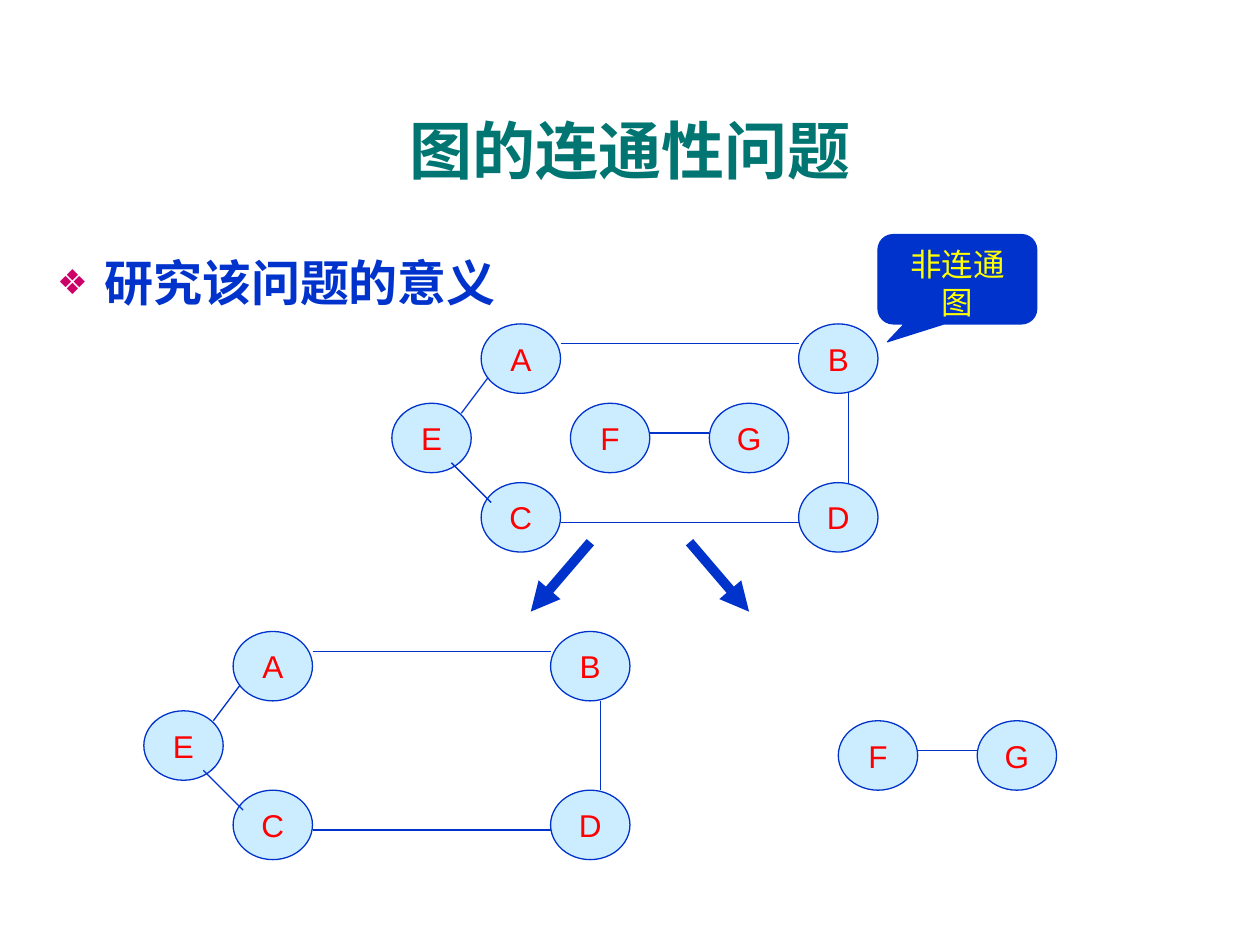
from lxml import etree
from pptx import Presentation
from pptx.dml.color import RGBColor
from pptx.enum.shapes import MSO_CONNECTOR, MSO_SHAPE
from pptx.enum.text import MSO_ANCHOR, MSO_AUTO_SIZE, PP_ALIGN
from pptx.oxml.ns import qn
from pptx.util import Cm, Pt

STRAIGHT = MSO_CONNECTOR.STRAIGHT
ELLIPSE = MSO_SHAPE.OVAL
CALLOUT = MSO_SHAPE.ROUNDED_RECTANGULAR_CALLOUT
TOP, MIDDLE = MSO_ANCHOR.TOP, MSO_ANCHOR.MIDDLE
LEFT, CENTER = PP_ALIGN.LEFT, PP_ALIGN.CENTER
NO_FIT = MSO_AUTO_SIZE.NONE

COLORS = {
    "title": "007572",
    "blue": "0033CC",
    "bullet": "CC0066",
    "node": "CCECFF",
    "letter": "FF0000",
    "callout": "FFFF00",
}
NODE_WIDTH, NODE_HEIGHT = 1.6, 1.4

# Offsets in cm from the left and top of each component.
RING = {
    "nodes": {"A": (1.8, 0), "B": (8.2, 0), "C": (1.8, 3.2),
              "D": (8.2, 3.2), "E": (0, 1.6)},
    "edges_below": [(2, 1, 1.4, 1.8)],
    "edges_above": [(3.4, 0.4, 8.2, 0.4), (3.4, 4, 8.2, 4),
                    (1.2, 2.8, 2, 3.6), (9.2, 1.4, 9.2, 3.2)],
}
PAIR = {
    "nodes": {"G": (2.8, 0), "F": (0, 0)},
    "edges_below": [],
    "edges_above": [(1.6, 0.6, 2.8, 0.6)],
}


def color(name):
    return RGBColor.from_string(COLORS[name])


def write_text(shape, text, size, color_name, align=CENTER, anchor=MIDDLE,
               wrap=True, bold=False):
    frame = shape.text_frame
    frame_format = {"word_wrap": wrap, "auto_size": NO_FIT,
                    "vertical_anchor": anchor}
    for name, value in frame_format.items():
        setattr(frame, name, value)
    para = frame.paragraphs[0]
    para.alignment = align
    span = para.add_run()
    span.text = text
    font_format = {"name": "Arial", "size": Pt(size), "bold": bold}
    for name, value in font_format.items():
        setattr(span.font, name, value)
    span.font.color.rgb = color(color_name)
    return para


def place(shape, left, top, width, height):
    position = {"left": left, "top": top, "width": width, "height": height}
    for name, value in position.items():
        setattr(shape, name, Cm(value))


def add_bullet(para):
    para.line_spacing = 1.2
    para.space_before = Pt(0)
    properties = para._p.get_or_add_pPr()
    properties.set("marL", str(Cm(0.95)))
    properties.set("indent", str(-Cm(0.95)))
    bullet_color = etree.SubElement(properties, qn("a:buClr"))
    etree.SubElement(bullet_color, qn("a:srgbClr"), val=COLORS["bullet"])
    etree.SubElement(properties, qn("a:buSzPct"), val="70000")
    etree.SubElement(properties, qn("a:buFont"), typeface="Arial")
    etree.SubElement(properties, qn("a:buChar"), char="❖")


def add_line(shapes, start_x, start_y, end_x, end_y, width=0.75):
    line = shapes.add_connector(STRAIGHT, Cm(start_x), Cm(start_y),
                                Cm(end_x), Cm(end_y))
    line.line.color.rgb = color("blue")
    line.line.width = Pt(width)
    etree.SubElement(line._element.spPr, qn("a:effectLst"))
    return line


def add_arrow(shapes, *ends):
    arrow = add_line(shapes, *ends, width=5.5)
    etree.SubElement(arrow.line._get_or_add_ln(), qn("a:tailEnd"),
                     type="triangle")


def add_box(shapes, kind, left, top, width, height, fill):
    box = shapes.add_shape(kind, Cm(left), Cm(top), Cm(width), Cm(height))
    box.shadow.inherit = False
    box.fill.solid()
    box.fill.fore_color.rgb = color(fill)
    box.line.color.rgb = color("blue")
    box.line.width = Pt(0.75)
    return box


def add_component(slide, component, left, top):
    """Draw one connected component as a group."""
    shapes = slide.shapes.add_group_shape().shapes

    def add_edges(edges):
        for x1, y1, x2, y2 in edges:
            add_line(shapes, left + x1, top + y1, left + x2, top + y2)

    add_edges(component["edges_below"])
    for letter, (x, y) in component["nodes"].items():
        node = add_box(shapes, ELLIPSE, left + x, top + y,
                       NODE_WIDTH, NODE_HEIGHT, "node")
        write_text(node, letter, 18, "letter", wrap=False)
    add_edges(component["edges_above"])


def add_callout(slide):
    callout = add_box(slide.shapes, CALLOUT, 17.7, 4.73, 3.2, 1.8, "blue")
    for index, value in enumerate((-0.44, 0.7, 0.17)):
        callout.adjustments[index] = value
    write_text(callout, "非连通图", 18, "callout", anchor=TOP)


def main():
    deck = Presentation()
    deck.slide_width, deck.slide_height = Cm(25.4), Cm(19.05)
    slide = deck.slides.add_slide(deck.slide_layouts[1])
    title, body = slide.placeholders

    place(title, 0.85, 1.9, 23.7, 2.2)
    write_text(title, "图的连通性问题", 36, "title", bold=True)
    place(body, 0.9, 4.73, 21.85, 10.8)
    add_bullet(write_text(body, "研究该问题的意义", 28, "blue",
                          align=LEFT, anchor=TOP, bold=True))

    add_component(slide, PAIR, 11.5, 8.13)
    add_component(slide, RING, 7.9, 6.53)
    add_component(slide, RING, 2.9, 12.73)
    add_component(slide, PAIR, 16.9, 14.53)
    add_arrow(slide.shapes, 11.9, 10.93, 10.7, 12.33)
    add_arrow(slide.shapes, 13.9, 10.93, 15.1, 12.33)
    add_callout(slide)
    deck.save("out.pptx")


if __name__ == "__main__":
    main()
